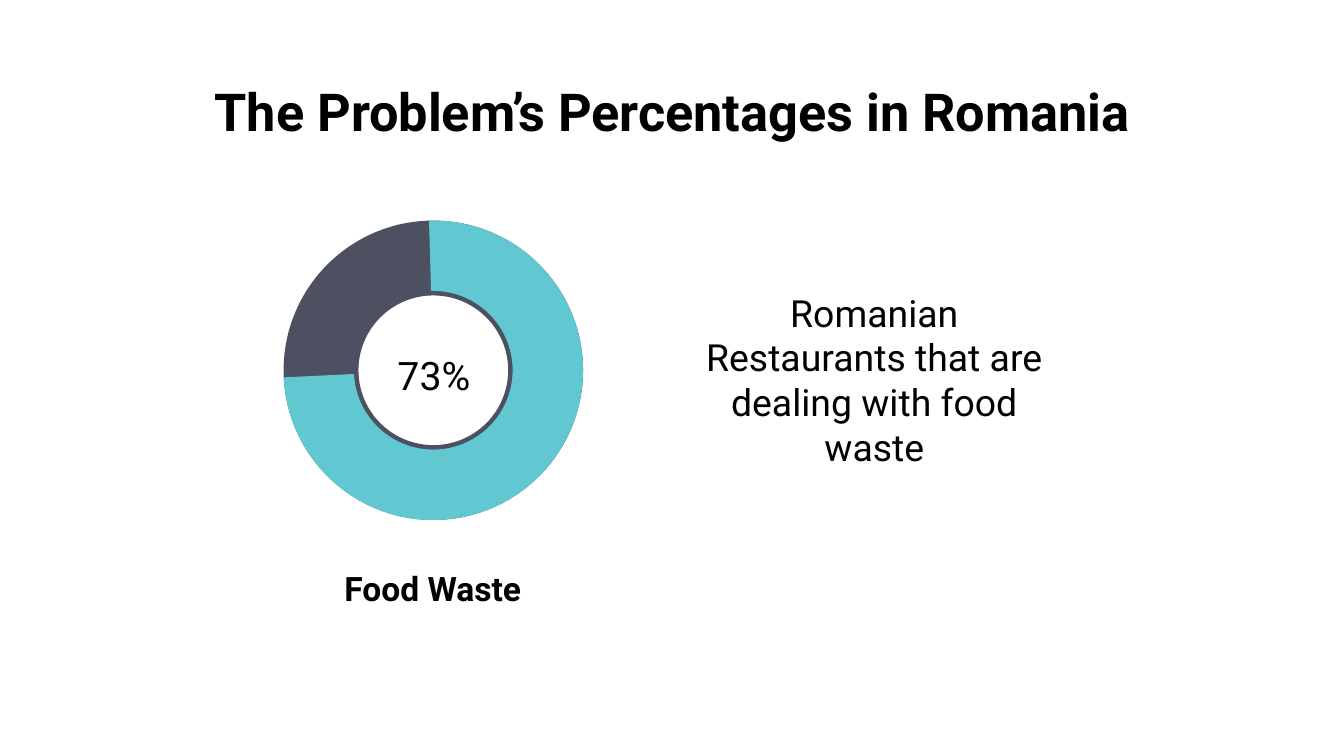
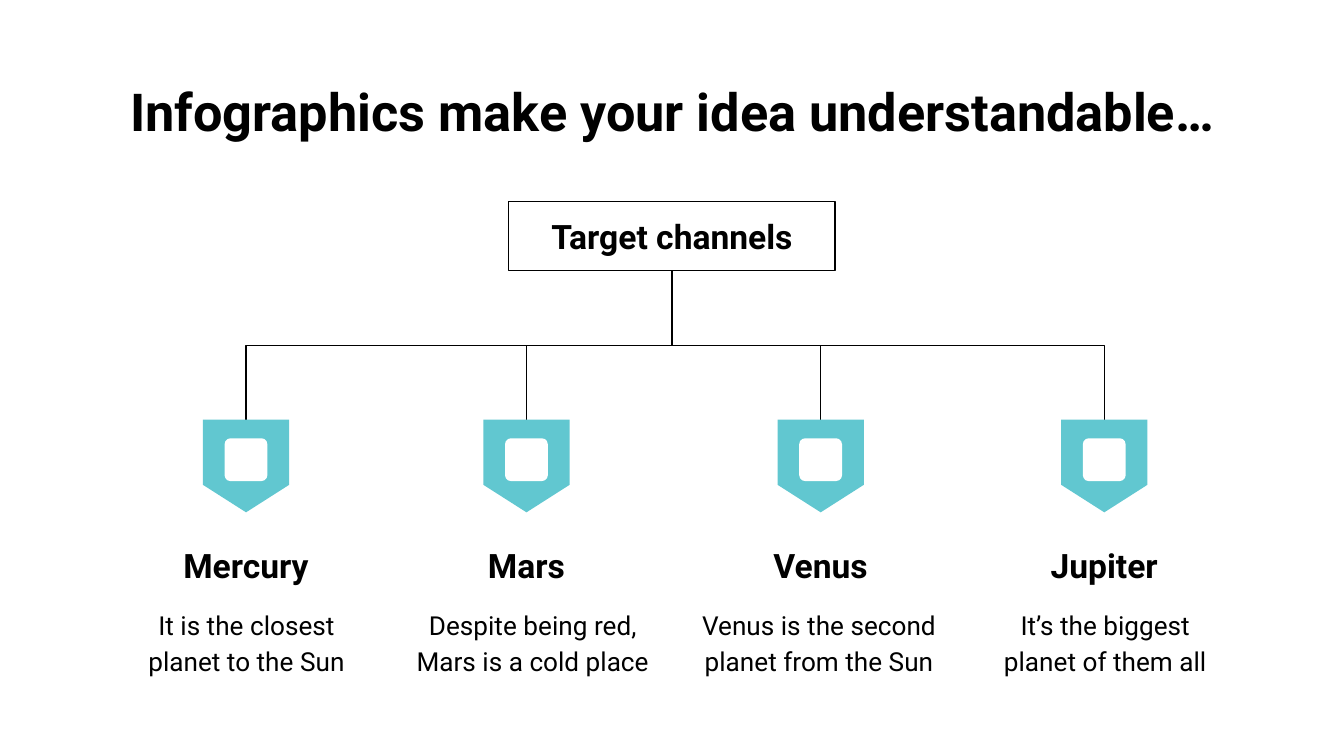
from lxml.etree import SubElement
from pptx import Presentation
from pptx.dml.color import RGBColor
from pptx.enum.shapes import MSO_CONNECTOR, MSO_SHAPE
from pptx.enum.text import MSO_ANCHOR, MSO_AUTO_SIZE, PP_ALIGN
from pptx.oxml.ns import qn
from pptx.util import Cm, Pt

FONT = "Roboto"
BLACK, WHITE, TEAL, SLATE = "000000", "FFFFFF", "61C7D0", "4D5061"
TITLE_BOX = (1.98, 1.24, 21.44, 1.6)

WASTE_TITLE = "The Problem’s Percentages in Romania"
WASTE_TEXT = "Romanian Restaurants that are dealing with food waste"
WASTE_LABEL, WASTE_SHARE = "Food Waste", "73%"
RING_BOX = (5.36, 4.17, 5.66, 5.66)
ARC_START, ARC_END = 268.37, 177.29

CHANNEL_TITLE = "Infographics make your idea understandable…"
CHANNEL_ROOT = "Target channels"
CHANNELS = [
    ("Mercury", "It is the closest planet to the Sun", 4.65),
    ("Mars", "Despite being red, Mars is a cold place", 9.95),
    ("Venus", "Venus is the second planet from the Sun", 15.51),
    ("Jupiter", "It’s the biggest planet of them all", 20.87),
]
ROOT_X, ROOT_TOP, ROOT_W, ROOT_H = 12.7, 3.81, 6.17, 1.3
TAG_TOP, TAG_Y, TAG_W, TAG_H = 7.95, 8.81, 1.75, 1.63
ICON_Y, ICON_SIZE = 8.69, 0.81
TEXT_X, TEXT_GAP = 4.66, 5.41


def rgb(value):
    return RGBColor.from_string(value)


def centred(cx, cy, w, h):
    return cx - w / 2, cy - h / 2, w, h


def write(tf, text, size, bold=False, anchor=MSO_ANCHOR.MIDDLE, spacing=None):
    tf.word_wrap = True
    tf.auto_size = MSO_AUTO_SIZE.NONE
    tf.vertical_anchor = anchor
    tf.margin_left = tf.margin_right = tf.margin_top = tf.margin_bottom = Cm(0.25)
    p = tf.paragraphs[0]
    p.text = text
    p.alignment = PP_ALIGN.CENTER
    p.line_spacing = spacing
    p.font.name, p.font.size, p.font.bold = FONT, Pt(size), bold
    p.font.color.rgb = rgb(BLACK)


def add_text(s, box, text, size, **style):
    write(s.shapes.add_textbox(*map(Cm, box)).text_frame, text, size, **style)


def add_shape(s, kind, box, fill=None, adjustments=()):
    sp = s.shapes.add_shape(kind, *map(Cm, box))
    sp.shadow.inherit = False
    for i, value in enumerate(adjustments):
        sp.adjustments[i] = value
    if fill:
        sp.fill.solid()
        sp.fill.fore_color.rgb = rgb(fill)
        sp.line.fill.background()
    else:
        sp.fill.background()
        sp.line.color.rgb = rgb(BLACK)
        sp.line.width = Pt(0.75)
    return sp


def add_branch(s, x1, y1, x2, y2):
    cx, cy = (x1 + x2) / 2, (y1 + y2) / 2
    dx, dy = (x2 - x1) / 2, (y2 - y1) / 2
    ends = (cx - dy, cy + dx, cx + dy, cy - dx)
    c = s.shapes.add_connector(MSO_CONNECTOR.ELBOW, *map(Cm, ends))
    c.line.color.rgb = rgb(BLACK)
    c.line.width = Pt(0.75)
    spPr = c._element.spPr
    spPr.find(qn("a:xfrm")).set("rot", "5400000")
    SubElement(spPr, qn("a:effectLst"))


def new_slide(prs, title):
    s = prs.slides.add_slide(prs.slide_layouts[5])
    s.background.fill.solid()
    s.background.fill.fore_color.rgb = rgb(WHITE)
    t = s.shapes.title
    t.left, t.top, t.width, t.height = map(Cm, TITLE_BOX)
    write(t.text_frame, title, 28, bold=True, anchor=MSO_ANCHOR.TOP)
    return s


def waste_slide(prs):
    s = new_slide(prs, WASTE_TITLE)
    add_text(s, (13.03, 4.78, 6.99, 4.78), WASTE_TEXT, 20)
    add_shape(s, MSO_SHAPE.DONUT, RING_BOX, SLATE, [0.25])
    arc = [ARC_START * 0.6, ARC_END * 0.6, 0.235]
    add_shape(s, MSO_SHAPE.BLOCK_ARC, RING_BOX, TEAL, arc)
    add_text(s, (5.46, 10.11, 5.44, 1.63), WASTE_LABEL, 18, bold=True,
             anchor=MSO_ANCHOR.BOTTOM)
    add_text(s, (6.78, 6.55, 2.84, 1.07), WASTE_SHARE, 21)


def channel_slide(prs):
    s = new_slide(prs, CHANNEL_TITLE)
    root = (ROOT_X - ROOT_W / 2, ROOT_TOP, ROOT_W, ROOT_H)
    add_shape(s, MSO_SHAPE.ROUNDED_RECTANGLE, root, adjustments=[0])
    add_text(s, centred(ROOT_X, 4.47, ROOT_W, 1.07), CHANNEL_ROOT, 18, bold=True)
    for i, (name, text, x) in enumerate(CHANNELS):
        add_branch(s, ROOT_X, ROOT_TOP + ROOT_H, x, TAG_TOP)
        tag = add_shape(s, MSO_SHAPE.PENTAGON, centred(x, TAG_Y, TAG_W, TAG_H),
                        TEAL, [0.319])
        tag.rotation = 90
        add_shape(s, MSO_SHAPE.ROUNDED_RECTANGLE,
                  centred(x, ICON_Y, ICON_SIZE, ICON_SIZE), WHITE, [0.14])
        add_text(s, centred(x, 10.69, 3.28, 1.07), name, 18, bold=True)
        add_text(s, centred(TEXT_X + i * TEXT_GAP, 11.94, 5.11, 1.52), text, 14,
                 anchor=MSO_ANCHOR.TOP, spacing=1.15)


def main():
    prs = Presentation()
    prs.slide_width, prs.slide_height = Cm(25.4), Cm(14.29)
    waste_slide(prs)
    channel_slide(prs)
    prs.save("out.pptx")


if __name__ == "__main__":
    main()
